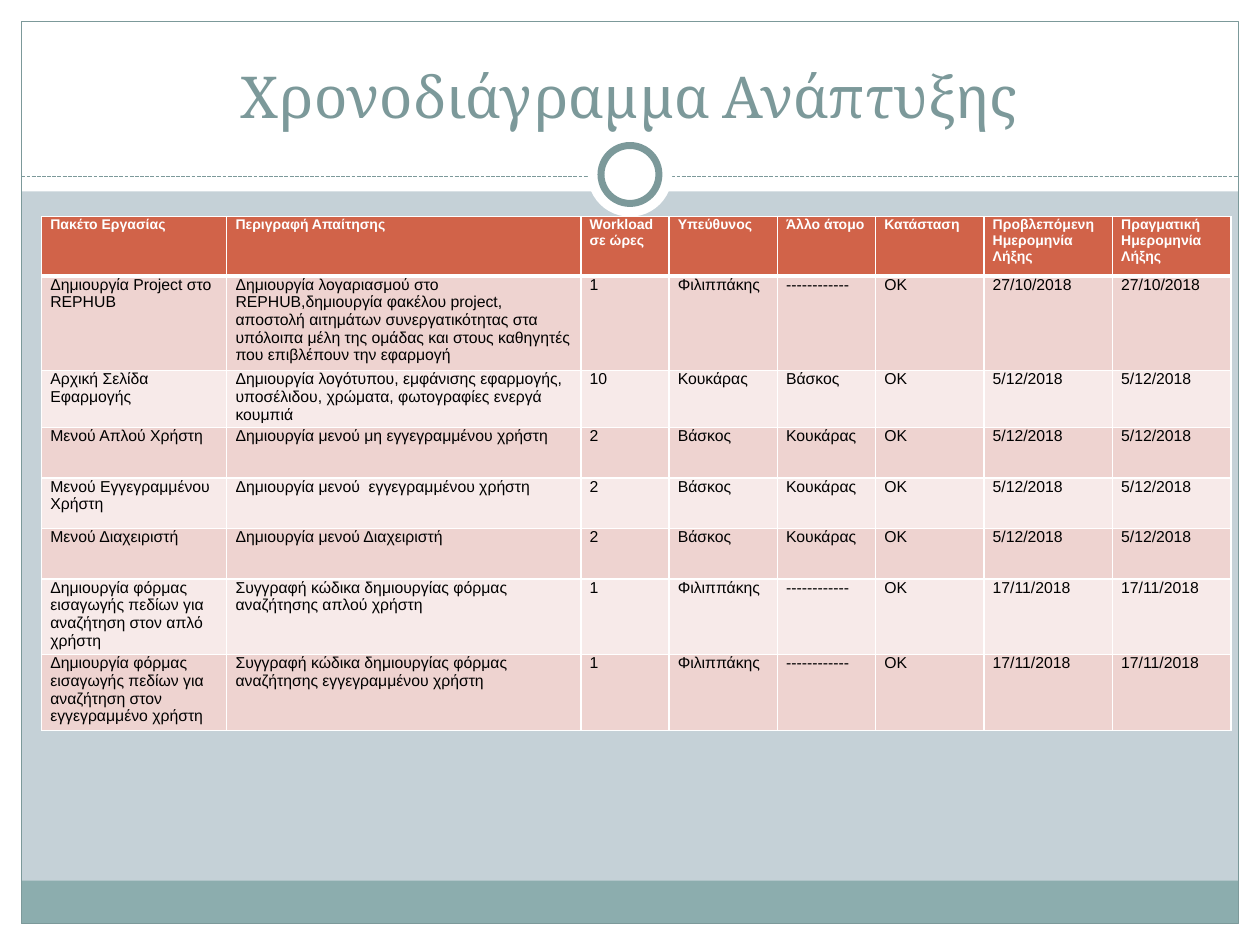
from dataclasses import dataclass

from lxml import etree
from pptx import Presentation
from pptx import util as u
from pptx.dml.color import RGBColor
from pptx.enum import dml, shapes, text
from pptx.oxml import ns


@dataclass(frozen=True)
class Theme:
    background: str = "C5D1D7"
    white: str = "FFFFFF"
    black: str = "000000"
    accent: str = "7C999A"
    footer: str = "8CADAE"
    header: str = "D16349"
    bands: tuple = ("EED3D0", "F7EAE9")
    title_font: str = "Cambria"
    table_font: str = "Arial"
    title_size: float = 33
    header_size: float = 8
    body_size: float = 9
    thin: float = 0.75
    ring: float = 4
    border: float = 1
    header_border: float = 3


THEME = Theme()
TITLE = "Χρονοδιάγραμμα Ανάπτυξης"
COLUMN_WIDTHS = (1.47, 2.81, 0.7, 0.86, 0.78, 0.86, 1.02, 0.94)
HEADER_HEIGHT, ROW_HEIGHT = 0.47, 0.4
HEADINGS = (
    "Πακέτο Εργασίας", "Περιγραφή Απαίτησης", "Workload σε ώρες", "Υπεύθυνος",
    "Άλλο άτομο", "Κατάσταση", "Προβλεπόμενη Ημερομηνία Λήξης",
    "Πραγματική Ημερομηνία Λήξης",
)
STATUS = "ΟΚ"
NOBODY = "------------"
TASKS = (
    ("Δημιουργία Project στο REPHUB",
     "Δημιουργία λογαριασμού στο REPHUB,δημιουργία φακέλου project, αποστολή "
     "αιτημάτων συνεργατικότητας στα υπόλοιπα μέλη της ομάδας και στους "
     "καθηγητές που επιβλέπουν την εφαρμογή",
     "1", "Φιλιππάκης", NOBODY, "27/10/2018"),
    ("Αρχική Σελίδα Εφαρμογής",
     "Δημιουργία λογότυπου, εμφάνισης εφαρμογής, υποσέλιδου, χρώματα, "
     "φωτογραφίες ενεργά κουμπιά",
     "10", "Κουκάρας", "Βάσκος", "5/12/2018"),
    ("Μενού Απλού Χρήστη", "Δημιουργία μενού μη εγγεγραμμένου χρήστη",
     "2", "Βάσκος", "Κουκάρας", "5/12/2018"),
    ("Μενού Εγγεγραμμένου Χρήστη", "Δημιουργία μενού  εγγεγραμμένου χρήστη",
     "2", "Βάσκος", "Κουκάρας", "5/12/2018"),
    ("Μενού Διαχειριστή", "Δημιουργία μενού Διαχειριστή",
     "2", "Βάσκος", "Κουκάρας", "5/12/2018"),
    ("Δημιουργία φόρμας εισαγωγής πεδίων για αναζήτηση στον απλό χρήστη",
     "Συγγραφή κώδικα δημιουργίας φόρμας αναζήτησης απλού χρήστη",
     "1", "Φιλιππάκης", NOBODY, "17/11/2018"),
    ("Δημιουργία φόρμας εισαγωγής πεδίων για αναζήτηση στον εγγεγραμμένο χρήστη",
     "Συγγραφή κώδικα δημιουργίας φόρμας αναζήτησης εγγεγραμμένου χρήστη",
     "1", "Φιλιππάκης", NOBODY, "17/11/2018"),
)


def color(value):
    return RGBColor.from_string(value)


def inches(box):
    return [u.Inches(length) for length in box]


def add_run(paragraph, words, font, size, fill, bold=False):
    run = paragraph.add_run()
    run.text = words
    run.font.name = font
    run.font.size = u.Pt(size)
    run.font.bold = bold
    run.font.color.rgb = color(fill)


def add_panel(slide, box, fill=None, line=None, width=THEME.thin,
              preset=shapes.MSO_SHAPE.RECTANGLE):
    shape = slide.shapes.add_shape(preset, *inches(box))
    shape.shadow.inherit = False
    if fill:
        shape.fill.solid()
        shape.fill.fore_color.rgb = color(fill)
    else:
        shape.fill.background()
    if line:
        shape.line.color.rgb = color(line)
        shape.line.width = u.Pt(width)
    else:
        shape.line.fill.background()


def add_frame(slide, box, margin, header_height, footer_height):
    left, top, width, height = box
    right, bottom = left + width - margin, top + height - margin
    inner_width = width - 2 * margin
    for panel in (
        (left, bottom, width, margin),
        (left, top, width, header_height),
        (left, top, margin, height),
        (right, top, margin, height),
    ):
        add_panel(slide, panel, THEME.white)
    add_panel(slide, (left + margin, bottom - footer_height, inner_width, footer_height),
              THEME.footer)
    add_panel(slide, (left + margin, top + margin, inner_width, height - 2 * margin),
              line=THEME.accent)


def add_divider(slide, box):
    left, top, width, height = box
    connector = slide.shapes.add_connector(
        shapes.MSO_CONNECTOR.STRAIGHT, *inches((left, 1.4, left + width, 1.4)))
    connector.line.color.rgb = color(THEME.accent)
    connector.line.width = u.Pt(THEME.thin)
    connector.line.dash_style = dml.MSO_LINE.SQUARE_DOT
    properties = connector.element.find(ns.qn("p:spPr"))
    etree.SubElement(properties, ns.qn("a:effectLst"))
    for diameter, line in ((height, None), (0.46, THEME.accent)):
        circle = (left + (width - diameter) / 2, top + (height - diameter) / 2,
                  diameter, diameter)
        add_panel(slide, circle, THEME.white, line, THEME.ring, shapes.MSO_SHAPE.OVAL)


def add_title(slide, box):
    frame = slide.shapes.add_textbox(*inches(box)).text_frame
    frame.word_wrap = True
    frame.vertical_anchor = text.MSO_ANCHOR.BOTTOM
    paragraph = frame.paragraphs[0]
    paragraph.alignment = text.PP_ALIGN.CENTER
    add_run(paragraph, TITLE, THEME.title_font, THEME.title_size, THEME.accent)


def set_borders(cell, top, bottom):
    properties = cell._tc.get_or_add_tcPr()
    for side, width in zip("LRTB", (THEME.border, THEME.border, top, bottom)):
        line = etree.SubElement(properties, ns.qn(f"a:ln{side}"), w=str(u.Pt(width)))
        fill = etree.SubElement(line, ns.qn("a:solidFill"))
        etree.SubElement(fill, ns.qn("a:srgbClr"), val=THEME.white)


def fill_cell(cell, words, row):
    is_header = row == 0
    set_borders(cell,
                THEME.header_border if row == 1 else THEME.border,
                THEME.header_border if is_header else THEME.border)
    cell.fill.solid()
    cell.fill.fore_color.rgb = color(THEME.header if is_header else THEME.bands[(row - 1) % 2])
    cell.margin_left = cell.margin_right = u.Inches(0.07)
    cell.margin_top = cell.margin_bottom = 0
    add_run(cell.text_frame.paragraphs[0], words, THEME.table_font,
            THEME.header_size if is_header else THEME.body_size,
            THEME.white if is_header else THEME.black, is_header)


def add_schedule(slide, box):
    rows = [HEADINGS] + [(*task[:5], STATUS, task[5], task[5]) for task in TASKS]
    table = slide.shapes.add_table(len(rows), len(HEADINGS), *inches(box)).table
    for column, width in zip(table.columns, COLUMN_WIDTHS):
        column.width = u.Inches(width)
    for row, values in enumerate(rows):
        table.rows[row].height = u.Inches(ROW_HEIGHT if row else HEADER_HEIGHT)
        for column, words in enumerate(values):
            fill_cell(table.cell(row, column), words, row)


def main():
    presentation = Presentation()
    presentation.slide_width, presentation.slide_height = inches((10, 7.5))
    slide = presentation.slides.add_slide(presentation.slide_layouts[6])
    slide.background.fill.solid()
    slide.background.fill.fore_color.rgb = color(THEME.background)
    add_frame(slide, (0, 0, 10, 7.5), 0.17, 1.52, 0.34)
    add_divider(slide, (0.17, 1.05, 9.66, 0.67))
    add_title(slide, (0.33, 0.25, 9.33, 0.83))
    add_schedule(slide, (0.33, 1.72, sum(COLUMN_WIDTHS),
                         HEADER_HEIGHT + ROW_HEIGHT * len(TASKS)))
    presentation.save("out.pptx")


if __name__ == "__main__":
    main()
